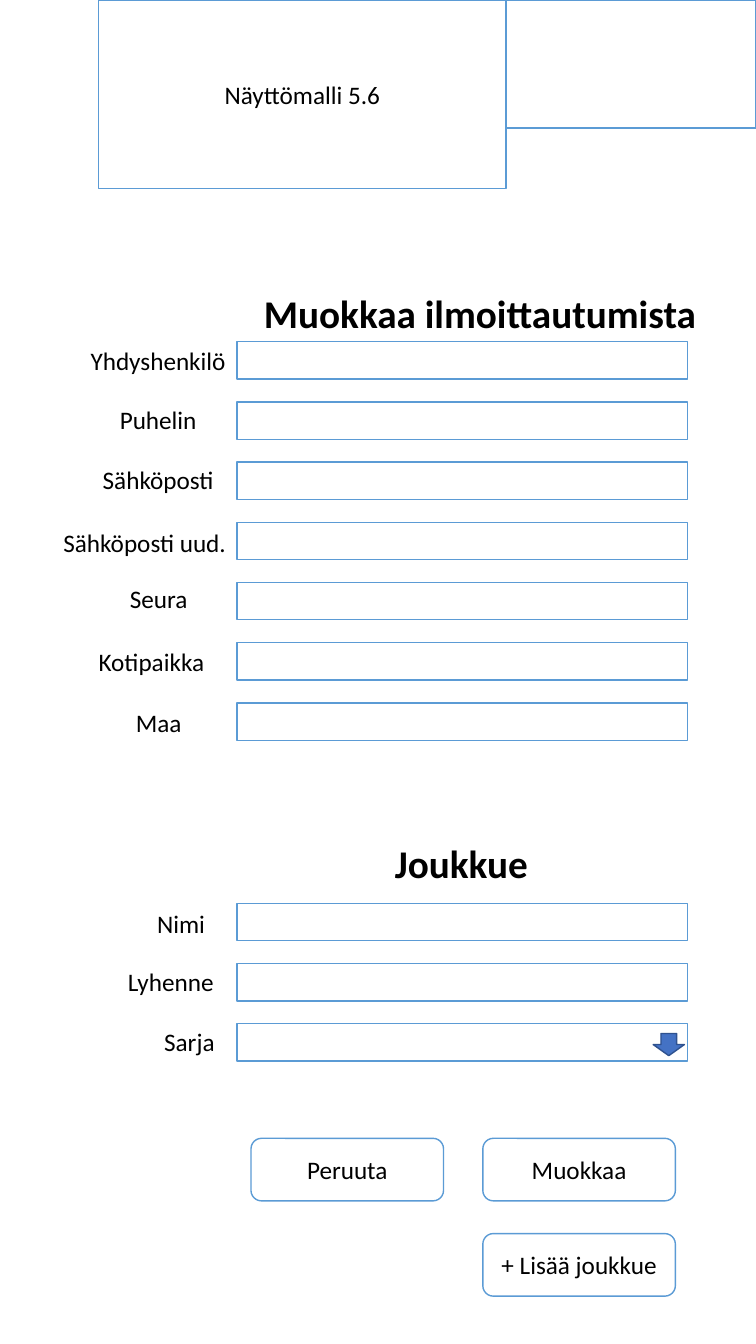
from dataclasses import dataclass

from pptx import Presentation
from pptx.dml.color import RGBColor
from pptx.enum.shapes import MSO_SHAPE
from pptx.enum.text import MSO_ANCHOR, MSO_AUTO_SIZE, PP_ALIGN
from pptx.util import Emu, Inches, Pt

COLORS = {
    "paper": "FFFFFF",
    "ink": "000000",
    "outline": "5B9BD5",
    "arrow": "4472C4",
    "arrow_edge": "2F528F",
}
FONT = "Calibri"

# Grid of 75 columns, with square cells
SLIDE_W, SLIDE_H = Inches(7.5), Inches(13.33)
CELL = SLIDE_W / 75
FIELD_LEFT, FIELD_W, FIELD_H, FIELD_PITCH = 23.5, 44.7, 3.7, 5.97
BODY_SIZE, HEADING_SIZE = 18, 28


@dataclass
class Box:
    left: float
    top: float
    width: float
    height: float
    text: str = ""
    kind: MSO_SHAPE = MSO_SHAPE.RECTANGLE
    fill: str = "paper"
    line: str = "outline"


@dataclass
class Label:
    text: str
    left: float
    width: float
    shift: float = 0  # vertical offset from the top of its field
    wrap: bool = False


@dataclass
class Section:
    heading: str
    heading_left: float
    heading_top: float
    heading_width: float
    first_field: float
    labels: list[Label]


HEADER = [
    Box(50.2, 0, 24.8, 12.7),
    Box(9.8, 0, 40.4, 18.7, "Näyttömalli 5.6"),
]
SECTIONS = [
    Section("Muokkaa ilmoittautumista", 25.2, 28.2, 45.5, 33.9, [
        Label("Yhdyshenkilö", 8, 15.6, -0.1),
        Label("Puhelin", 10.9, 9.7, -0.25),
        Label("Sähköposti", 9.2, 13.1, -0.25),
        Label("Sähköposti uud.", 5.3, 19.6, wrap=True),
        Label("Seura", 11.9, 7.8, -0.4),
        Label("Kotipaikka", 8.8, 12.6, -0.15),
        Label("Maa", 12.5, 6.6, -0.1),
    ]),
    Section("Joukkue", 38.2, 82.8, 15.3, 89.6, [
        Label("Nimi", 14.6, 6.8),
        Label("Lyhenne", 11.7, 10.7, -0.2),
        Label("Sarja", 15.3, 7.1, -0.2),
    ]),
]
BUTTONS = [
    Box(left, top, 19.1, 6.2, text, MSO_SHAPE.ROUNDED_RECTANGLE)
    for left, top, text in [
        (24.9, 112.9, "Peruuta"),
        (47.9, 112.9, "Muokkaa"),
        (47.9, 122.35, "+ Lisää joukkue"),
    ]
]
DROPDOWN_ARROW = Box(64.8, 102.5, 3.1, 2.2, kind=MSO_SHAPE.DOWN_ARROW,
                     fill="arrow", line="arrow_edge")


def grid(*cells: float) -> list[Emu]:
    return [Emu(round(n * CELL)) for n in cells]


def color(name: str) -> RGBColor:
    return RGBColor.from_string(COLORS[name])


def add_run(p, text: str, size: int, bold: bool = False) -> None:
    r = p.add_run()
    r.text = text
    r.font.name = FONT
    r.font.size = Pt(size)
    r.font.bold = bold
    r.font.color.rgb = color("ink")


def draw_box(slide, box: Box) -> None:
    sp = slide.shapes.add_shape(
        box.kind, *grid(box.left, box.top, box.width, box.height))
    sp.shadow.inherit = False
    sp.fill.solid()
    sp.fill.fore_color.rgb = color(box.fill)
    sp.line.color.rgb = color(box.line)
    sp.line.width = Pt(1)
    if box.text:
        tf = sp.text_frame
        tf.vertical_anchor = MSO_ANCHOR.MIDDLE
        p = tf.paragraphs[0]
        p.alignment = PP_ALIGN.CENTER
        add_run(p, box.text, BODY_SIZE)


def draw_text(slide, text: str, left: float, top: float, width: float,
              height: float, size: int, bold: bool = False,
              wrap: bool = False) -> None:
    sp = slide.shapes.add_textbox(*grid(left, top, width, height))
    tf = sp.text_frame
    tf.word_wrap = wrap
    tf.auto_size = MSO_AUTO_SIZE.SHAPE_TO_FIT_TEXT
    add_run(tf.paragraphs[0], text, size, bold)


def draw_section(slide, section: Section) -> None:
    draw_text(slide, section.heading, section.heading_left,
              section.heading_top, section.heading_width, 5.7,
              HEADING_SIZE, bold=True)
    for i, label in enumerate(section.labels):
        top = section.first_field + i * FIELD_PITCH
        draw_box(slide, Box(FIELD_LEFT, top, FIELD_W, FIELD_H))
        draw_text(slide, label.text, label.left, top + label.shift,
                  label.width, 4, BODY_SIZE, wrap=label.wrap)


def main() -> None:
    prs = Presentation()
    prs.slide_width, prs.slide_height = SLIDE_W, SLIDE_H
    slide = prs.slides.add_slide(prs.slide_layouts[6])

    # Header panels
    for box in HEADER:
        draw_box(slide, box)

    # Form sections
    for section in SECTIONS:
        draw_section(slide, section)

    # Dropdown arrow and buttons
    for box in [DROPDOWN_ARROW, *BUTTONS]:
        draw_box(slide, box)

    prs.save("out.pptx")


if __name__ == "__main__":
    main()
